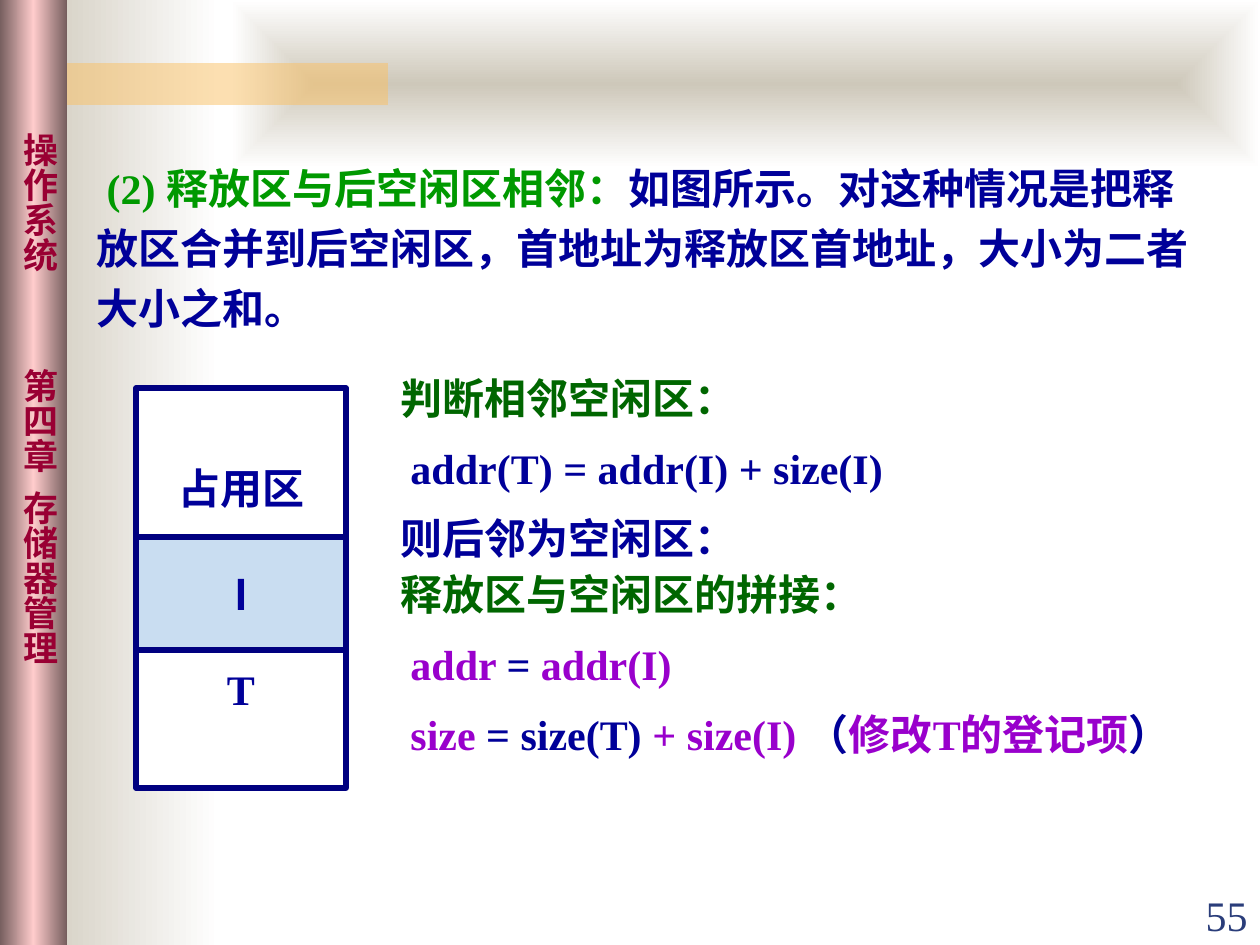
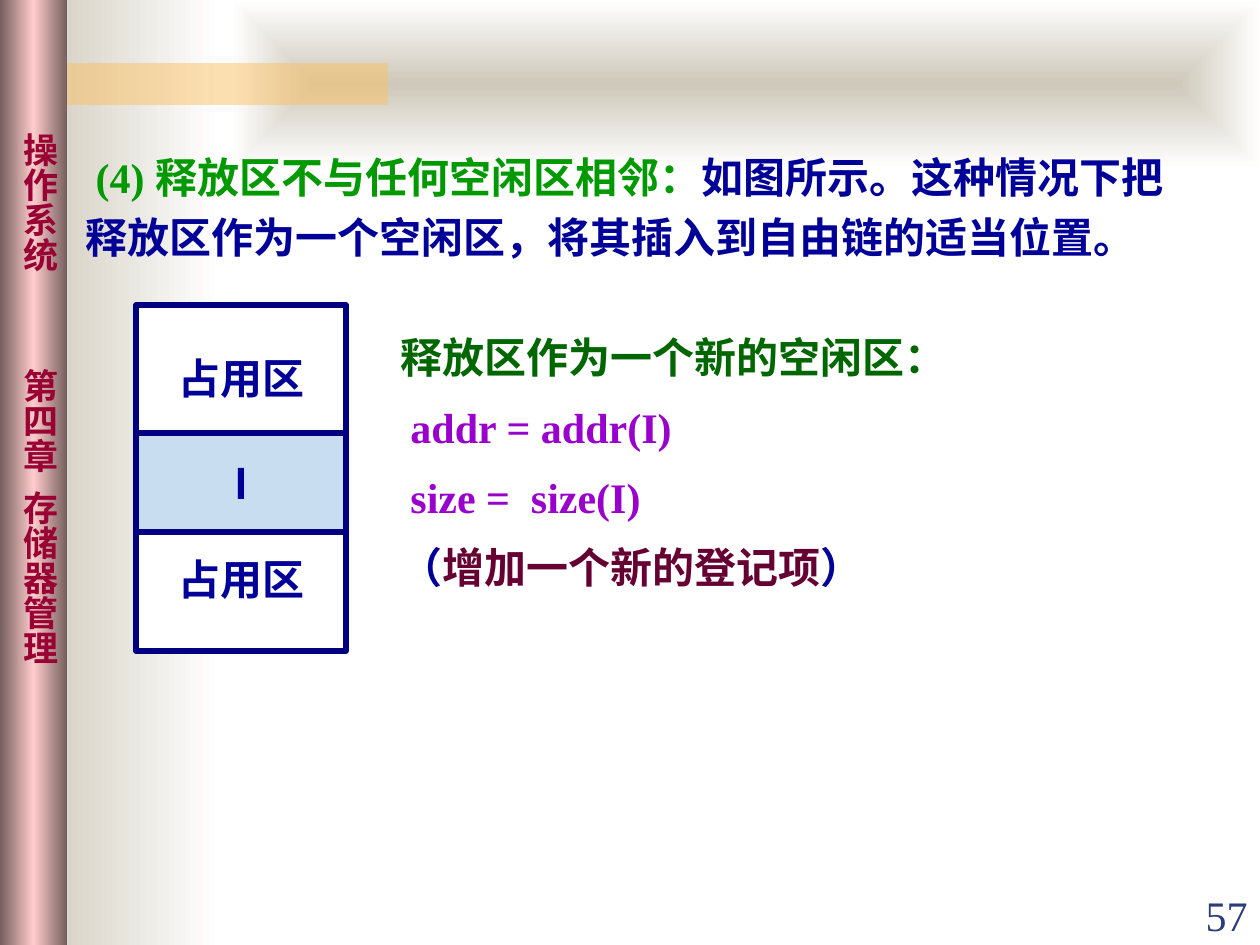
from lxml import etree
from pptx import Presentation
from pptx import util as u
from pptx.dml.color import RGBColor
from pptx.enum import shapes, text
from pptx.oxml import ns

NAVY = RGBColor(0x00, 0x00, 0x80)
BLUE = RGBColor(0x00, 0x00, 0x99)
GREEN = RGBColor(0x00, 0x99, 0x00)
DARK_GREEN = RGBColor(0x00, 0x66, 0x00)
PURPLE = RGBColor(0x99, 0x00, 0xCC)
WINE = RGBColor(0x66, 0x00, 0x33)
CRIMSON = RGBColor(0x99, 0x00, 0x33)
INK = RGBColor(0x2A, 0x3D, 0x7A)
WHITE = RGBColor(0xFF, 0xFF, 0xFF)
PALE_BLUE = RGBColor(0xC9, 0xDD, 0xF1)
STONE = RGBColor(0xCE, 0xC8, 0xBA)
AMBER = RGBColor(0xFA, 0xC1, 0x64)
MAUVE = RGBColor(0x76, 0x5E, 0x5E)
PINK = RGBColor(0xFF, 0xCC, 0xCC)

SERIF = "Times New Roman"
SANS = "Noto Sans CJK SC"
PX = u.Inches(1) / 126
LEFT, CENTER, RIGHT = text.PP_ALIGN.LEFT, text.PP_ALIGN.CENTER, text.PP_ALIGN.RIGHT


def px(n):
    return u.Emu(round(n * PX))


def sub(parent, tag, **attrs):
    return etree.SubElement(parent, ns.qn(tag), **attrs)


def write(p, runs, size=24, font=SERIF, color=BLUE, bold=True,
          align=LEFT, line=None, before=0, indent=0):
    p.alignment = align
    if line:
        p.line_spacing = u.Pt(line)
    if before:
        p.space_before = u.Pt(before)
    if indent:
        p._p.get_or_add_pPr().set("indent", str(px(indent)))
    for words, tint in [(runs, color)] if isinstance(runs, str) else runs:
        r = p.add_run()
        r.text = words
        f = r.font
        f.size, f.name, f.bold = u.Pt(size), font, bold
        f.color.rgb = tint
        sub(r._r.get_or_add_rPr(), "a:ea", typeface=SANS)


class Deck:
    def __init__(self):
        self.prs = Presentation()
        self.prs.slide_width, self.prs.slide_height = px(1260), px(945)
        self.layout = self.prs.slide_layouts[5]
        self.s = None

    def slide(self):
        self.s = self.prs.slides.add_slide(self.layout)

    def rect(self, x, y, w, h, fill=None, line=None, parent=None):
        sp = (parent or self.s).shapes.add_shape(
            shapes.MSO_SHAPE.RECTANGLE, px(x), px(y), px(w), px(h))
        sp.shadow.inherit = False
        if fill is not None:
            sp.fill.solid()
            sp.fill.fore_color.rgb = fill
        if line is None:
            sp.line.fill.background()
        else:
            sp.line.color.rgb = line
            sp.line.width = u.Pt(3)
        return sp

    def gradient(self, x, y, w, h, *colors, centred=False):
        sp = self.rect(x, y, w, h)
        grad = etree.Element(ns.qn("a:gradFill"), rotWithShape="1")
        stops = sub(grad, "a:gsLst")
        for i, c in enumerate(colors):
            gs = sub(stops, "a:gs", pos=str(i * 100000 // (len(colors) - 1)))
            sub(gs, "a:srgbClr", val=str(c))
        if centred:
            way = sub(grad, "a:path", path="shape")
            sub(way, "a:fillToRect", l="50000", t="50000", r="50000", b="50000")
        else:
            sub(grad, "a:lin", ang="0", scaled="1")
        sp._element.spPr.find(ns.qn("a:prstGeom")).addnext(grad)
        return sp

    def textbox(self, x, y, w, h, paragraphs, anchor=text.MSO_ANCHOR.TOP, **style):
        sp = self.s.shapes.add_textbox(px(x), px(y), px(w), px(h))
        tf = sp.text_frame
        tf.word_wrap = True
        tf.vertical_anchor = anchor
        for i, (runs, indent) in enumerate(paragraphs):
            p = tf.paragraphs[0] if i == 0 else tf.add_paragraph()
            write(p, runs, indent=indent, **style)
        return sp

    def vertical(self, y, h, words):
        sp = self.textbox(0, y, 67, h, [(words, 0)], size=20, font=SANS, color=CRIMSON)
        tf = sp.text_frame
        tf.margin_top = tf.margin_bottom = 0
        tf._txBody.bodyPr.set("vert", "eaVert")
        return sp

    def frame(self):
        bar = self.rect(42, 63, 346, 42, AMBER)
        sub(bar._element.spPr.find(".//" + ns.qn("a:srgbClr")), "a:alpha", val="50000")
        parts = [
            self.gradient(21, 0, 199, 945, STONE, WHITE),
            self.gradient(231, 0, 1029, 168, STONE, WHITE, centred=True),
            bar,
            self.gradient(0, 0, 67, 945, MAUVE, PINK, MAUVE),
            self.vertical(133, 160, "操作系统"),
            self.vertical(369, 115, "第四章"),
            self.vertical(491, 200, "存储器管理"),
        ]
        for i, sp in enumerate(parts):
            sp._element.nvSpPr.cNvPr.id = 100 + i
            self.layout.shapes._spTree.insert(2 + i, sp._element)

    def title(self, x, y, h, heading, body):
        sp = self.s.shapes.title
        sp.left, sp.top, sp.width, sp.height = px(x), px(y), px(1144), px(h)
        tf = sp.text_frame
        tf.word_wrap = True
        tf.auto_size = text.MSO_AUTO_SIZE.NONE
        tf.vertical_anchor = text.MSO_ANCHOR.TOP
        write(tf.paragraphs[0], [(heading, GREEN), (body, BLUE)], line=34.3, indent=10)

    def steps(self, y, paragraphs):
        self.textbox(388, y, 798, 70 * len(paragraphs) + 12, paragraphs, line=40)

    def memory(self, y, h, freed_y, freed_h, above, below):
        group = self.s.shapes.add_group_shape()
        whole = self.rect(136, y, 210, h, WHITE, NAVY, group)
        freed = self.rect(136, freed_y, 210, freed_h, PALE_BLUE, NAVY, group)
        for sp in (whole, freed):
            sp.text_frame.word_wrap = False
            sp.text_frame.vertical_anchor = text.MSO_ANCHOR.MIDDLE
        tf = whole.text_frame
        write(tf.paragraphs[0], above, align=CENTER, line=29)
        write(tf.add_paragraph(), below, align=CENTER, line=29, before=86)
        write(freed.text_frame.paragraphs[0], "I", font=SANS, align=CENTER)

    def number(self, n):
        self.textbox(1134, 883, 126, 63, [(str(n), 0)], text.MSO_ANCHOR.BOTTOM,
                     color=INK, bold=False, align=RIGHT)


def main():
    d = Deck()
    d.slide()
    d.frame()
    d.title(84, 147, 194, "(2) 释放区与后空闲区相邻：",
            "如图所示。对这种情况是把释放区合并到后空闲区，首地址为释放区首地址，大小为二者大小之和。")
    d.memory(388, 400, 537, 113, "占用区", "T")
    d.steps(347, [
        ([("判断相邻空闲区：", DARK_GREEN)], 0),
        ("addr(T) = addr(I) + size(I)", 10),
        ("则后邻为空闲区：", 0),
    ])
    d.steps(543, [
        ([("释放区与空闲区的拼接：", DARK_GREEN)], 0),
        ([("addr ", PURPLE), ("= ", BLUE), ("addr(I)", PURPLE)], 10),
        ([("size", PURPLE), (" = size(T) ", BLUE), ("+ size(I) ", PURPLE),
          ("（", BLUE), ("修改T的登记项", PURPLE), ("）", BLUE)], 10),
    ])
    d.number(55)

    d.slide()
    d.title(73, 136, 134, "(4) 释放区不与任何空闲区相邻：",
            "如图所示。这种情况下把释放区作为一个空闲区，将其插入到自由链的适当位置。")
    d.memory(305, 346, 433, 99, "占用区", "占用区")
    d.steps(306, [
        ([("释放区作为一个新的空闲区：", DARK_GREEN)], 0),
        ([("addr = addr(I)", PURPLE)], 10),
        ([("size =  size(I)", PURPLE)], 10),
        ([("（", BLUE), ("增加一个新的登记项", WINE), ("）", BLUE)], 0),
    ])
    d.number(57)
    d.prs.save("out.pptx")


if __name__ == "__main__":
    main()
